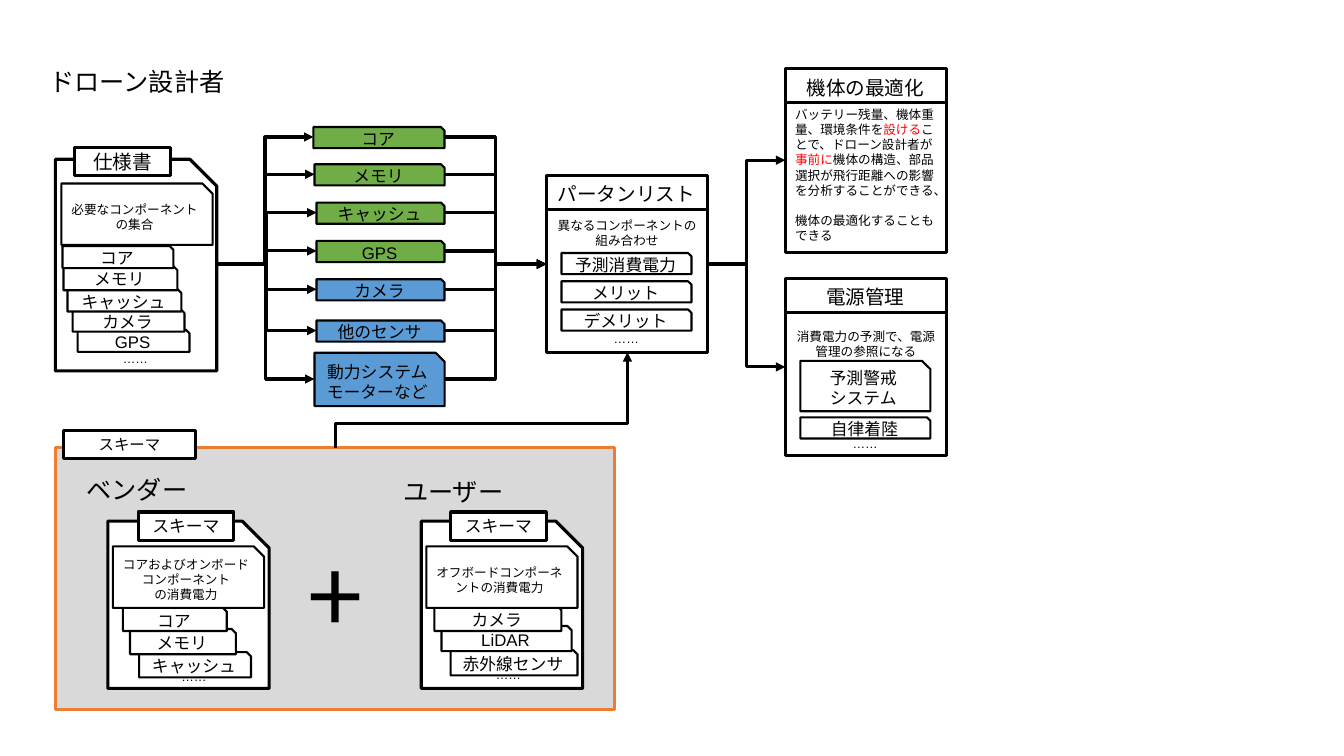
from lxml.etree import SubElement
from pptx import Presentation
from pptx.dml.color import RGBColor
from pptx.enum.shapes import MSO_CONNECTOR, MSO_SHAPE
from pptx.enum.text import MSO_ANCHOR, PP_ALIGN
from pptx.oxml.ns import qn
from pptx.util import Emu, Inches, Pt

BLACK = RGBColor(0, 0, 0)
WHITE = RGBColor(255, 255, 255)
RED = RGBColor(255, 0, 0)
GRAY = RGBColor(0xD9, 0xD9, 0xD9)
ORANGE = RGBColor(0xED, 0x7D, 0x31)
GREEN = RGBColor(0x70, 0xAD, 0x47)
BLUE = RGBColor(0x5B, 0x9B, 0xD5)
LATIN, CJK = "Arial", "Noto Sans CJK SC"
THICK, THIN = 2.25, 1.5
SCALE = 9144  # EMU per px, 100 px to the inch

# Content: places are (left, top, width, height) in px
TITLE = ("ドローン設計者", (39, 61, 197, 40))
SCHEMA_AREA = (55, 444, 555, 260)
SCHEMA_TAB = ("スキーマ", (63, 427, 131, 28))
HEADINGS = [
    ("ベンダー", (76, 466, 121, 40), 18),
    ("ユーザー", (390, 468, 121, 40), 18),
    ("+", (295, 525, 88, 131), 72),
]
# Folders: outline, tab, summary, cards from back to front, dots
FOLDERS = [
    ((55, 158, 160, 210), ("仕様書", (74, 146, 95, 28), 14),
     (["必要なコンポーネントの集合"], (61, 182, 150, 61)),
     [("GPS", (77, 327, 111, 22)), ("カメラ", (72, 307, 111, 22)),
      ("キャッシュ", (67, 287, 113, 22)), ("メモリ", (63, 264, 113, 24)),
      ("コア", (62, 244, 110, 22))], (112, 343)),
    ((107, 517, 160, 166), ("スキーマ", (137, 508, 95, 28), 12),
     (["コアおよびオンボードコンポーネント", "の消費電力"], (112, 542, 150, 61)),
     [("キャッシュ", (138, 647, 111, 25)), ("メモリ", (129, 624, 105, 25)),
      ("コア", (122, 603, 103, 23))], (170, 659)),
    ((418, 517, 160, 166), ("スキーマ", (447, 508, 95, 28), 12),
     (["オフボードコンポーネントの消費電力"], (423, 542, 150, 61)),
     [("赤外線センサ", (447, 645, 126, 25)), ("LiDAR", (438, 621, 129, 25)),
      ("カメラ", (431, 601, 126, 25))], (482, 657)),
]
# Components: lines, colour, left, top, height
COMPONENTS = [
    (["コア"], GREEN, 311, 126, 21),
    (["メモリ"], GREEN, 312, 163, 21),
    (["キャッシュ"], GREEN, 314, 201, 21),
    (["GPS"], GREEN, 314, 239, 21),
    (["カメラ"], BLUE, 314, 277, 21),
    (["他のセンサ"], BLUE, 314, 318, 21),
    (["動力システム", "モーターなど"], BLUE, 312, 350, 53),
]
COMPONENT_RIGHT = 441
# Panels: heading, place, body paragraphs of (text, colour), body offset,
# alignment, cards of (lines, top, height), top of dots
PANELS = [
    ("パータンリスト", (542, 174, 160, 176),
     [[("異なるコンポーネントの組み合わせ", BLACK)]], 42, PP_ALIGN.CENTER,
     [(["予測消費電力"], 251, 21), (["メリット"], 279, 21),
      (["デメリット"], 307, 21)], 323),
    ("機体の最適化", (779, 68, 160, 183),
     [[("バッテリー残量、機体重量、環境条件を", BLACK), ("設ける", RED),
       ("ことで、ドローン設計者が", BLACK), ("事前に", RED),
       ("機体の構造、部品選択が飛行距離への影響を分析することができる、", BLACK)],
      [("機体の最適化することもできる", BLACK)]], 38, PP_ALIGN.LEFT, [], None),
    ("電源管理", (779, 276, 160, 176),
     [[("消費電力の予測で、電源管理の参照になる", BLACK)]], 50, PP_ALIGN.CENTER,
     [(["予測警戒", "システム"], 358, 50), (["自律着陸"], 414, 21)], 428),
]


def px(*lengths):
    return [Emu(length * SCALE) for length in lengths]


def style(para, size, font=LATIN, align=PP_ALIGN.CENTER):
    para.alignment = align
    para.font.size, para.font.name = Pt(size), font
    para.font.color.rgb = BLACK


def write(box, lines, size, font=LATIN, align=PP_ALIGN.CENTER):
    box.text_frame.text = "\n".join(lines)
    for para in box.text_frame.paragraphs:
        style(para, size, font, align)


def add_box(place, lines=(), size=12, fill=WHITE, line=BLACK, weight=THICK,
            kind=MSO_SHAPE.RECTANGLE):
    box = page.shapes.add_shape(kind, *px(*place))
    box.shadow.inherit = False
    box.fill.solid()
    box.fill.fore_color.rgb = fill
    box.line.color.rgb, box.line.width = line, Pt(weight)
    box.text_frame.vertical_anchor = MSO_ANCHOR.MIDDLE
    if lines:
        write(box, lines, size)
    return box


def add_card(place, lines, size=12, fill=WHITE):
    add_box(place, lines, size, fill, weight=THIN,
            kind=MSO_SHAPE.SNIP_1_RECTANGLE)


def add_text(text, place, size, font=LATIN, align=PP_ALIGN.LEFT):
    box = page.shapes.add_textbox(*px(*place))
    box.text_frame.word_wrap = False
    write(box, [text], size, font, align)


def add_dots(left, top):
    add_text("……", (left, top, 45, 25), 9)


def add_line(start, end, kind=MSO_CONNECTOR.ELBOW, arrow=True):
    link = page.shapes.add_connector(kind, *px(*start, *end))
    link.line.color.rgb, link.line.width = BLACK, Pt(THICK)
    properties = link._element.spPr
    if arrow:
        SubElement(properties.find(qn("a:ln")), qn("a:tailEnd"), type="triangle")
    SubElement(properties, qn("a:effectLst"))
    return link


def add_folder(outline, tab, summary, cards, dots):
    add_box(outline, kind=MSO_SHAPE.SNIP_1_RECTANGLE)
    tab_text, tab_place, tab_size = tab
    add_box(tab_place, [tab_text], tab_size)
    for text, place in cards:
        add_card(place, [text])
    add_card(summary[1], summary[0], 9)
    add_dots(*dots)


def add_panel(heading, place, body, offset, align, cards, dots_top):
    left, top, width, height = place
    frame = add_box(place).text_frame
    frame.vertical_anchor = MSO_ANCHOR.TOP
    frame.margin_top = px(offset)[0]
    for index, spans in enumerate(body):
        para = frame.add_paragraph() if index else frame.paragraphs[0]
        style(para, 9, align=align)
        para.space_before = Pt(11 if index else 0)
        for text, colour in spans:
            span = para.add_run()
            span.text = text
            span.font.color.rgb = colour
    add_line((left, top + 34), (left + width, top + 34),
             MSO_CONNECTOR.STRAIGHT, arrow=False)
    add_text(heading, (left + 1, top + 2, width - 3, 34), 14,
             align=PP_ALIGN.CENTER)
    for lines, card_top, card_height in cards:
        add_card((left + 15, card_top, 129, card_height), lines)
    if dots_top:
        add_dots(left + 57, dots_top)


deck = Presentation()
deck.slide_width, deck.slide_height = Inches(13.333), Inches(7.5)
page = deck.slides.add_slide(deck.slide_layouts[5])

# Title
title = page.shapes.title
title.left, title.top, title.width, title.height = px(*TITLE[1])
title.text_frame.word_wrap = False
title.text_frame.vertical_anchor = MSO_ANCHOR.TOP
write(title, [TITLE[0]], 18, CJK, PP_ALIGN.LEFT)

# Schema area, folders and headings
add_box(SCHEMA_AREA, fill=GRAY, line=ORANGE)
add_box(SCHEMA_TAB[1], [SCHEMA_TAB[0]], 11)
for folder in FOLDERS:
    add_folder(*folder)
for text, place, size in HEADINGS:
    add_text(text, place, size, CJK)

# Panels
for panel in PANELS:
    add_panel(*panel)

# Components, each linked from the specification and to the pattern list
HUB_Y = 262
for lines, colour, left, top, height in COMPONENTS:
    middle = top + height // 2
    add_card((left, top, COMPONENT_RIGHT - left, height), lines, fill=colour)
    add_line((215, HUB_Y), (left, middle))
    add_line((COMPONENT_RIGHT, middle), (542, HUB_Y))

# Pattern list to the two results
for _, (left, top, _, height), *_ in PANELS[1:]:
    add_line((702, HUB_Y), (left, top + height // 2))

# Schema area up to the pattern list: a quarter turn about the middle
riser = add_line((525, 542), (430, 252))
riser._element.spPr.find(qn("a:xfrm")).set("rot", "5400000")
bends = riser._element.spPr.find(qn("a:prstGeom")).get_or_add_avLst()
SubElement(bends, qn("a:gd"), name="adj1", fmla="val 25600")

deck.save("out.pptx")
